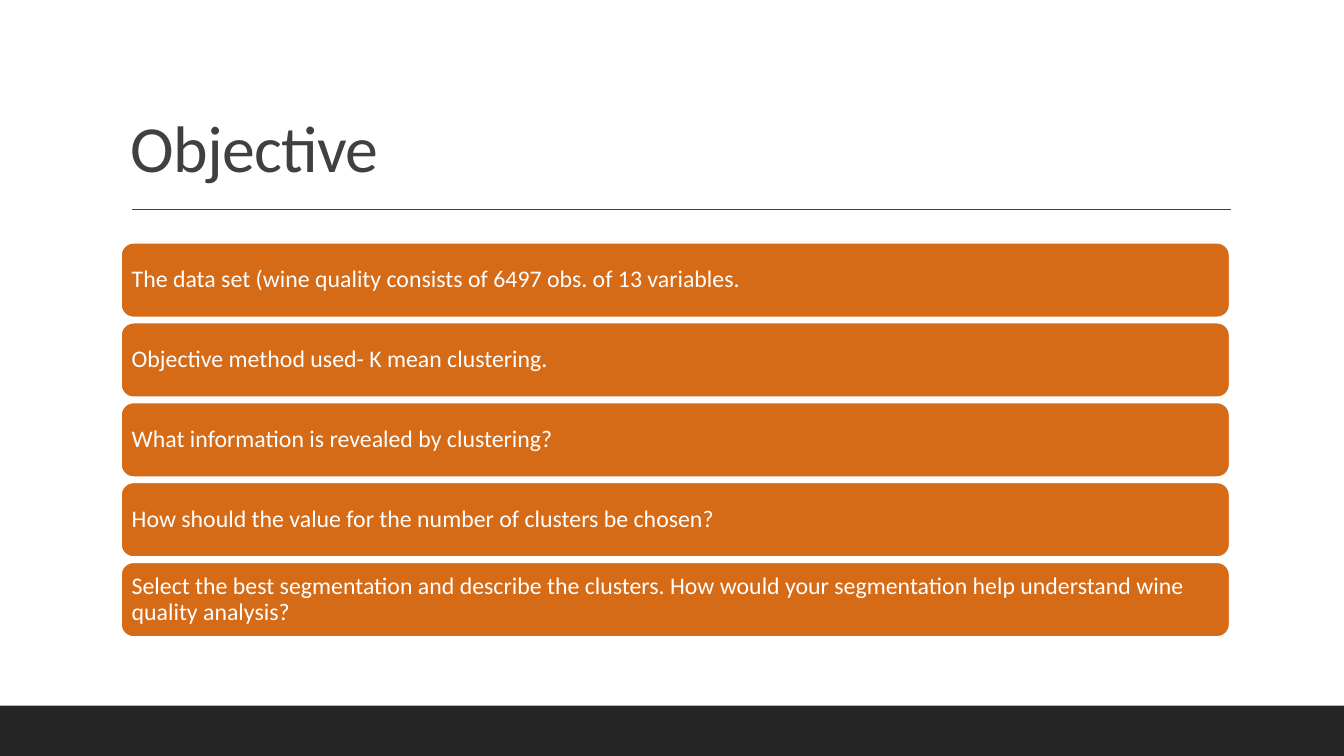
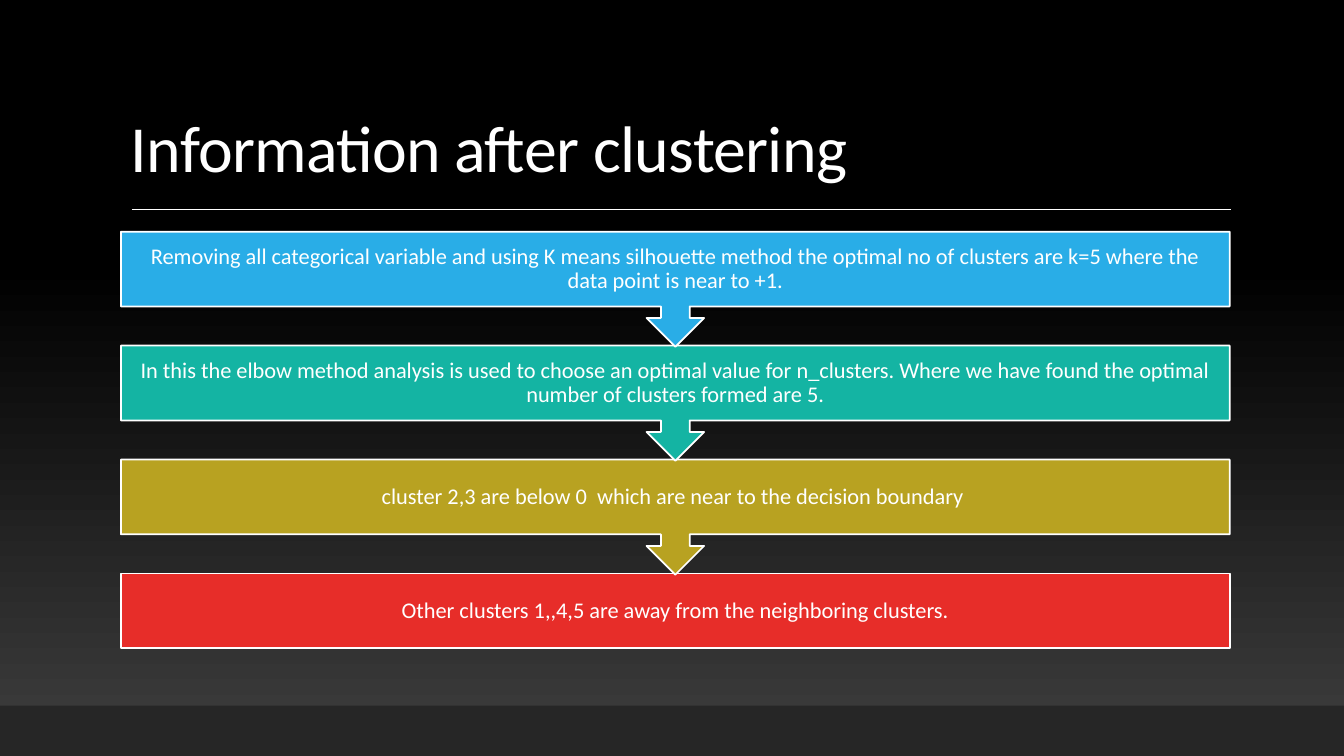
from lxml.etree import SubElement
from pptx import Presentation
from pptx.dml.color import RGBColor
from pptx.enum.shapes import MSO_CONNECTOR, MSO_SHAPE as SHAPE
from pptx.enum.text import MSO_ANCHOR as ANCHOR, PP_ALIGN as ALIGN
from pptx.oxml.ns import qn
from pptx.util import Pt

WHITE = RGBColor(0xFF, 0xFF, 0xFF)
BLACK = RGBColor(0x00, 0x00, 0x00)
DARK = RGBColor(0x40, 0x40, 0x40)
GLOW = RGBColor(0x3F, 0x3F, 0x3F)
BAND = RGBColor(0x26, 0x26, 0x26)
ORANGE = RGBColor(0xD5, 0x6A, 0x17)
BLUE = RGBColor(0x29, 0xAD, 0xE7)
TEAL = RGBColor(0x14, 0xB4, 0xA3)
OLIVE = RGBColor(0xB8, 0xA2, 0x21)
RED = RGBColor(0xE7, 0x2D, 0x29)

FONT = "Calibri"
LEFT, WIDTH = 86.4, 792
BOX_H = 53.4

prs = Presentation()
prs.slide_width, prs.slide_height = Pt(960), Pt(540)


def add_text(sp, text, size, color, anchor, align=ALIGN.LEFT, inset=None):
    tf = sp.text_frame
    tf.word_wrap = True
    tf.vertical_anchor = anchor
    if inset is not None:
        tf.margin_left = tf.margin_right = Pt(inset)
        tf.margin_top = tf.margin_bottom = Pt(inset)
    p = tf.paragraphs[0]
    p.alignment = align
    p.line_spacing = 0.9
    r = p.add_run()
    r.text = text
    r.font.name, r.font.size = FONT, Pt(size)
    r.font.color.rgb = color
    return r


def add_box(s, kind, left, top, width, height, fill, line=None):
    sp = s.shapes.add_shape(kind, Pt(left), Pt(top), Pt(width), Pt(height))
    sp.shadow.inherit = False
    sp.fill.solid()
    sp.fill.fore_color.rgb = fill
    if line is None:
        sp.line.fill.background()
    else:
        sp.line.color.rgb = line
        sp.line.width = Pt(1.25)
    return sp


# Shared frame: title, rule and bottom band
slides = []
for title, color in [("Objective", DARK), ("Information after clustering", WHITE)]:
    s = prs.slides.add_slide(prs.slide_layouts[6])
    add_box(s, SHAPE.RECTANGLE, 0, 504, 960, 36, BAND)
    rule = s.shapes.add_connector(
        MSO_CONNECTOR.STRAIGHT, Pt(94.3), Pt(149.5), Pt(879), Pt(149.5))
    rule.line.color.rgb = color
    rule.line.width = Pt(1)
    SubElement(rule._element.spPr, qn("a:effectLst"))
    tb = s.shapes.add_textbox(Pt(LEFT), Pt(22.6), Pt(WIDTH), Pt(114.2))
    r = add_text(tb, title, 47, color, ANCHOR.BOTTOM)
    r.font._element.set("spc", "-50")
    slides.append(s)

objective, findings = slides

# Slide 1: stacked objectives
objective.background.fill.solid()
objective.background.fill.fore_color.rgb = WHITE
objectives = [
    "The data set (wine quality consists of 6497 obs. of 13 variables.",
    "Objective method used- K mean clustering.",
    "What information is revealed by clustering?",
    "How should the value for the number of clusters be chosen?",
    "Select the best segmentation and describe the clusters. How would your "
    "segmentation help understand wine quality analysis?",
]
for i, text in enumerate(objectives):
    sp = add_box(objective, SHAPE.ROUNDED_RECTANGLE, LEFT, 173.4 + 57.05 * i,
                 WIDTH, BOX_H, ORANGE, WHITE)
    add_text(sp, text, 17, WHITE, ANCHOR.MIDDLE, inset=5.1)

# Slide 2: chain of findings on a dark gradient
bg = findings.background.fill
bg.gradient()
bg.gradient_angle = 90
for stop, color, position in zip(bg.gradient_stops, (GLOW, BLACK), (0, 0.65)):
    stop.color.rgb = color
    stop.position = position

steps = [
    (BLUE, "Removing all categorical variable and using K means silhouette method "
           "the optimal no of clusters are k=5 where the data point is near to +1."),
    (TEAL, "In this the elbow method analysis is used to choose an optimal value for "
           "n_clusters. Where we have found the optimal number of clusters formed are 5."),
    (OLIVE, "cluster 2,3 are below 0  which are near to the decision boundary "),
    (RED, "Other clusters 1,,4,5 are away from the neighboring clusters."),
]
last = len(steps) - 1
# From the bottom up, so that each arrow tip lies over the next box
for i, (color, text) in reversed(list(enumerate(steps))):
    kind, height = ((SHAPE.RECTANGLE, BOX_H) if i == last
                    else (SHAPE.DOWN_ARROW_CALLOUT, 82.2))
    sp = add_box(findings, kind, LEFT, 165.5 + 81.4 * i, WIDTH, height, color, WHITE)
    add_text(sp, text, 16, WHITE, ANCHOR.MIDDLE, ALIGN.CENTER, inset=8.6)

prs.save("out.pptx")
